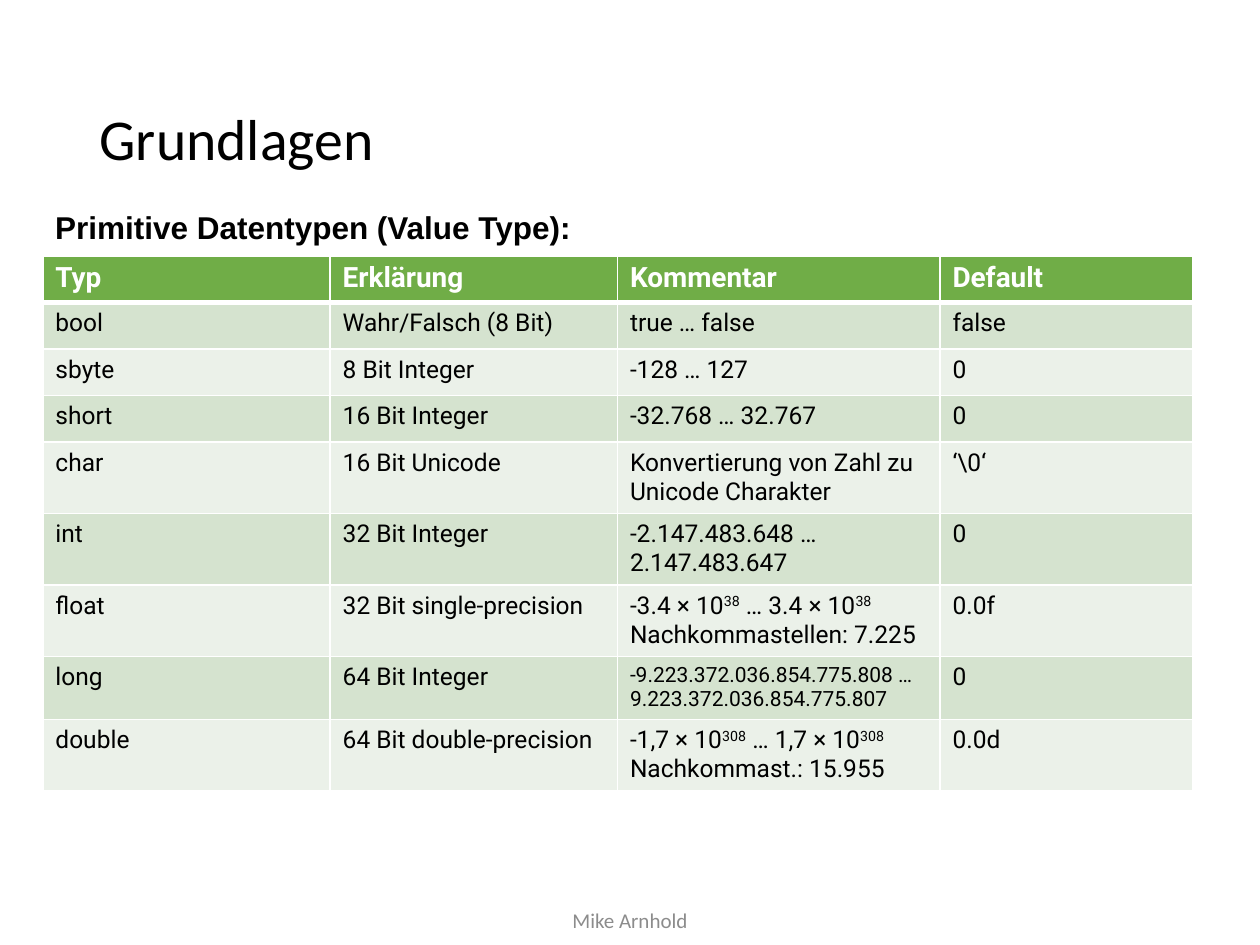
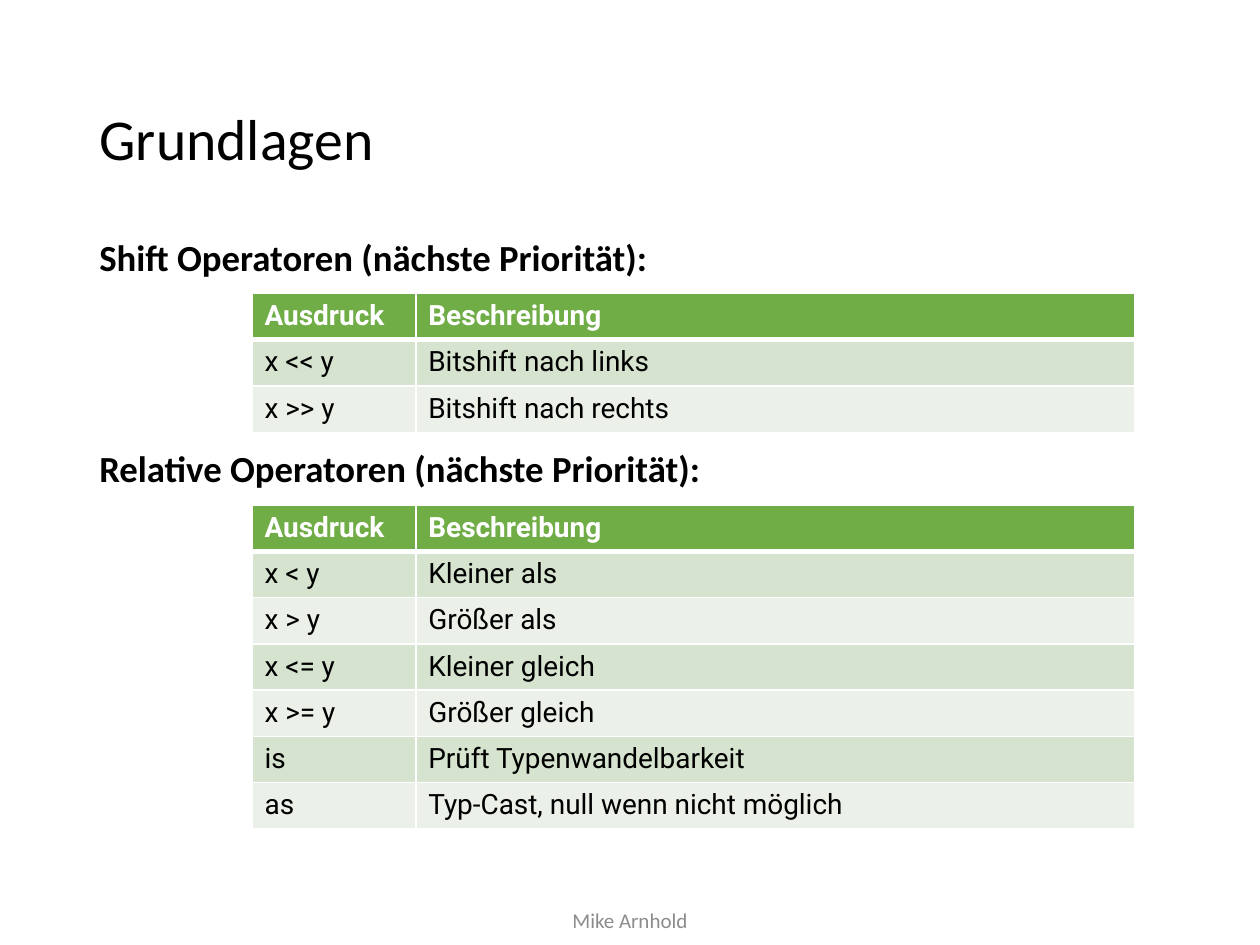
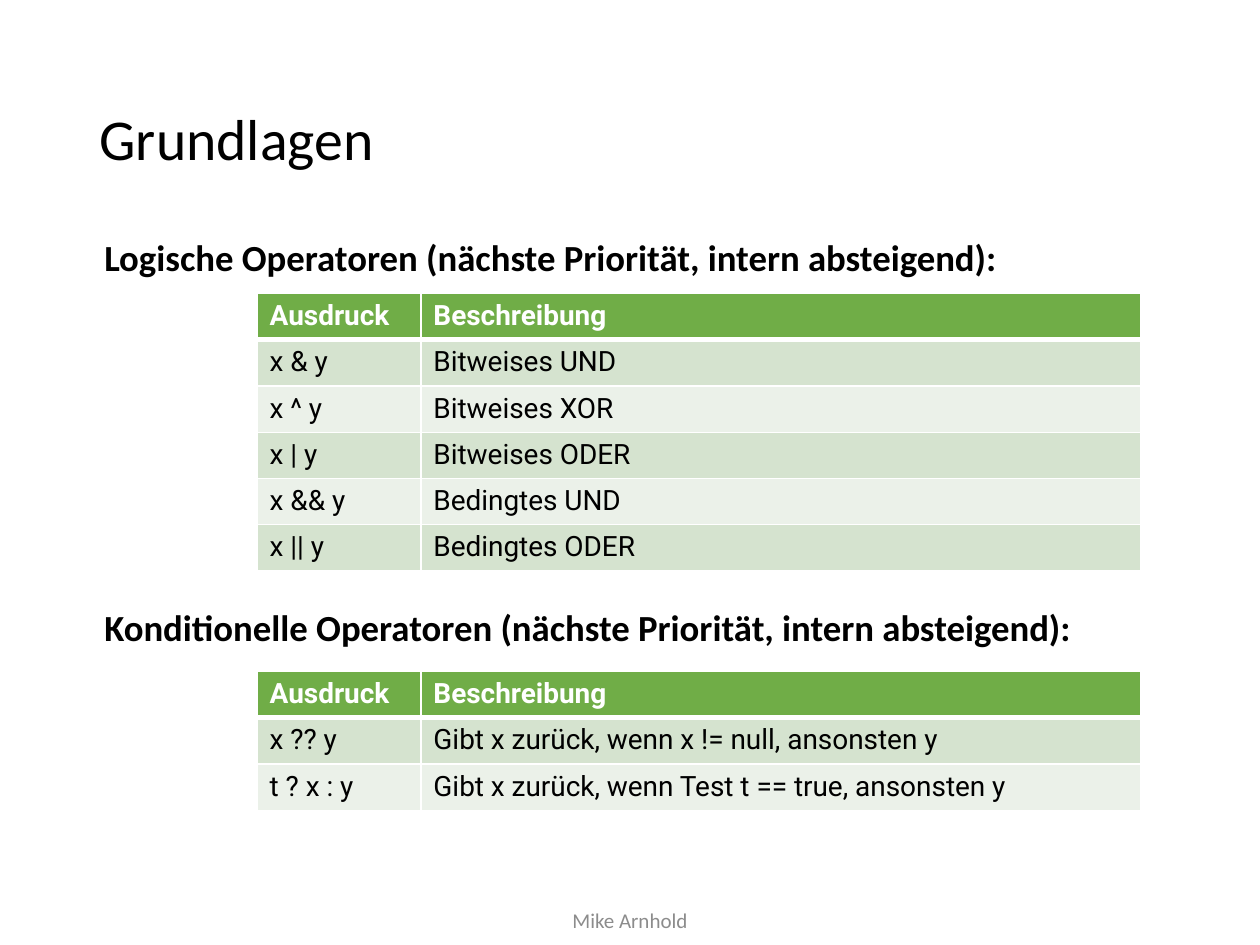
from collections import namedtuple
from dataclasses import dataclass

from lxml.etree import SubElement
from pptx import Presentation
from pptx.dml.color import RGBColor
from pptx.enum.text import MSO_ANCHOR as Anchor, PP_ALIGN as Align
from pptx.oxml import parse_xml
from pptx.oxml.ns import nsdecls, qn
from pptx.util import Inches, Pt


@dataclass(frozen=True)
class Theme:
    black: str = "000000"
    white: str = "FFFFFF"
    footer_grey: str = "8C8C8C"
    header_green: str = "70AD47"
    bands: tuple = ("D5E3CF", "EBF1E9")
    text_font: str = "Calibri"
    table_font: str = "Roboto"
    title_size: int = 33
    heading_size: int = 21
    footer_size: int = 12
    table_size: int = 16
    thin_rule: int = 1
    thick_rule: int = 3


THEME = Theme()
TITLE = "Grundlagen"
FOOTER = "Mike Arnhold"
TITLE_BOX = (0.69, 0.4, 8.62, 1.45)
FOOTER_BOX = (3.31, 7.15, 3.38, 0.31)

# Each paragraph alternates normal and superscript parts.
Rich = namedtuple("Rich", "paragraphs size")

TYPE_HEADING = "Primitive Datentypen (Value Type):"
TYPE_ROWS = [
    ("Typ", "Erklärung", "Kommentar", "Default"),
    ("bool", "Wahr/Falsch (8 Bit)", "true … false", "false"),
    ("sbyte", "8 Bit Integer", "-128 … 127", "0"),
    ("short", "16 Bit Integer", "-32.768 … 32.767", "0"),
    ("char", "16 Bit Unicode", "Konvertierung von Zahl zu Unicode Charakter", "‘\\0‘"),
    ("int", "32 Bit Integer", "-2.147.483.648 … 2.147.483.647", "0"),
    ("float", "32 Bit single-precision",
     Rich([("-3.4 × 10", "38", " … 3.4 × 10", "38"), ("Nachkommastellen: 7.225",)], 14), "0.0f"),
    ("long", "64 Bit Integer",
     Rich([("-9.223.372.036.854.775.808 … 9.223.372.036.854.775.807",)], 12), "0"),
    ("double", "64 Bit double-precision",
     Rich([("-1,7 × 10", "308", " … 1,7 × 10", "308"), ("Nachkommast.: 15.955",)], 14), "0.0d"),
]
TYPE_COLUMNS = (2.28, 2.28, 2.56, 2.01)

OPERATOR_HEADER = ("Ausdruck", "Beschreibung")
OPERATOR_COLUMNS = (1.3, 5.71)
OPERATOR_INDENT = 1.31
# Per slide: left edge, then (heading, heading top, table top, rows).
OPERATOR_SLIDES = [
    (0.69, [
        ("Shift Operatoren (nächste Priorität):", 1.85, 2.33, [
            ("x << y", "Bitshift nach links"),
            ("x >> y", "Bitshift nach rechts"),
        ]),
        ("Relative Operatoren (nächste Priorität):", 3.53, 4.01, [
            ("x < y", "Kleiner als"),
            ("x > y", "Größer als"),
            ("x <= y", "Kleiner gleich"),
            ("x >= y", "Größer gleich"),
            ("is", "Prüft Typenwandelbarkeit"),
            ("as", "Typ-Cast, null wenn nicht möglich"),
        ]),
    ]),
    (0.73, [
        ("Logische Operatoren (nächste Priorität, intern absteigend):", 1.85, 2.33, [
            ("x & y", "Bitweises UND"),
            ("x ^ y", "Bitweises XOR"),
            ("x | y", "Bitweises ODER"),
            ("x && y", "Bedingtes UND"),
            ("x || y", "Bedingtes ODER"),
        ]),
        ("Konditionelle Operatoren (nächste Priorität, intern absteigend):", 4.79, 5.33, [
            ("x ?? y", "Gibt x zurück, wenn x != null, ansonsten y"),
            ("t ? x : y", "Gibt x zurück, wenn Test t == true, ansonsten y"),
        ]),
    ]),
]


def write(frame, text, *, size, font=THEME.text_font, color=THEME.black, bold=False,
          align=Align.LEFT, line_spacing=None):
    """Fill a text frame with a string or a Rich text."""
    paragraphs, size = text if isinstance(text, Rich) else ([(text,)], size)
    frame.word_wrap = True
    for number, parts in enumerate(paragraphs):
        paragraph = frame.add_paragraph() if number else frame.paragraphs[0]
        paragraph.alignment = align
        if line_spacing:
            paragraph.line_spacing = line_spacing
        for position, part in enumerate(parts):
            run = paragraph.add_run()
            run.text = part
            run.font.size, run.font.name, run.font.bold = Pt(size), font, bold
            run.font.color.rgb = RGBColor.from_string(color)
            if position % 2:
                run.font._element.set("baseline", "30000")


def add_text(slide, text, box, anchor=Anchor.TOP, **style):
    frame = slide.shapes.add_textbox(*map(Inches, box)).text_frame
    frame.vertical_anchor = anchor
    write(frame, text, **style)


def set_borders(cell, top, bottom):
    properties = cell._tc.get_or_add_tcPr()
    widths = {"lnL": THEME.thin_rule, "lnR": THEME.thin_rule, "lnT": top, "lnB": bottom}
    for place, (side, width) in enumerate(widths.items()):
        line = parse_xml(f'<a:{side} {nsdecls("a")} w="{Pt(width)}"/>')
        fill = SubElement(line, qn("a:solidFill"))
        SubElement(fill, qn("a:srgbClr"), val=THEME.white)
        properties.insert(place, line)


def add_banded_table(slide, rows, left, top, columns, row_height, body_size):
    table = slide.shapes.add_table(
        len(rows), len(columns), Inches(left), Inches(top),
        Inches(sum(columns)), Inches(row_height * len(rows))).table
    for column, width in zip(table.columns, columns):
        column.width = Inches(width)
    for r, row in enumerate(rows):
        table.rows[r].height = Inches(row_height)
        header = r == 0
        for c, text in enumerate(row):
            cell = table.cell(r, c)
            cell.fill.solid()
            cell.fill.fore_color.rgb = RGBColor.from_string(
                THEME.header_green if header else THEME.bands[(r - 1) % 2])
            set_borders(cell,
                        top=THEME.thick_rule if r == 1 else THEME.thin_rule,
                        bottom=THEME.thick_rule if header else THEME.thin_rule)
            write(cell.text_frame, text, font=THEME.table_font, bold=header,
                  size=THEME.table_size if header else body_size,
                  color=THEME.white if header else THEME.black)


def add_base_slide(deck):
    slide = deck.slides.add_slide(deck.slide_layouts[5])
    title = slide.shapes.title
    title.left, title.top, title.width, title.height = map(Inches, TITLE_BOX)
    title.text_frame.vertical_anchor = Anchor.MIDDLE
    write(title.text_frame, TITLE, size=THEME.title_size, line_spacing=0.9)
    add_text(slide, FOOTER, FOOTER_BOX, Anchor.MIDDLE, size=THEME.footer_size,
             color=THEME.footer_grey, align=Align.CENTER)
    return slide


def main():
    deck = Presentation()
    deck.slide_width, deck.slide_height = Inches(10), Inches(7.5)

    slide = add_base_slide(deck)
    add_banded_table(slide, TYPE_ROWS, 0.34, 2.03, TYPE_COLUMNS, row_height=0.37, body_size=14)
    add_text(slide, TYPE_HEADING, (0.34, 1.6, 9.13, 0.45), size=18, font="Arial", bold=True)

    for left, sections in OPERATOR_SLIDES:
        slide = add_base_slide(deck)
        for heading, heading_top, table_top, rows in sections:
            add_text(slide, heading, (left, heading_top, 9.13, 0.42),
                     size=THEME.heading_size, bold=True, line_spacing=0.9)
            add_banded_table(slide, [OPERATOR_HEADER, *rows], left + OPERATOR_INDENT, table_top,
                             OPERATOR_COLUMNS, row_height=0.36, body_size=THEME.table_size)

    deck.save("out.pptx")


if __name__ == "__main__":
    main()
